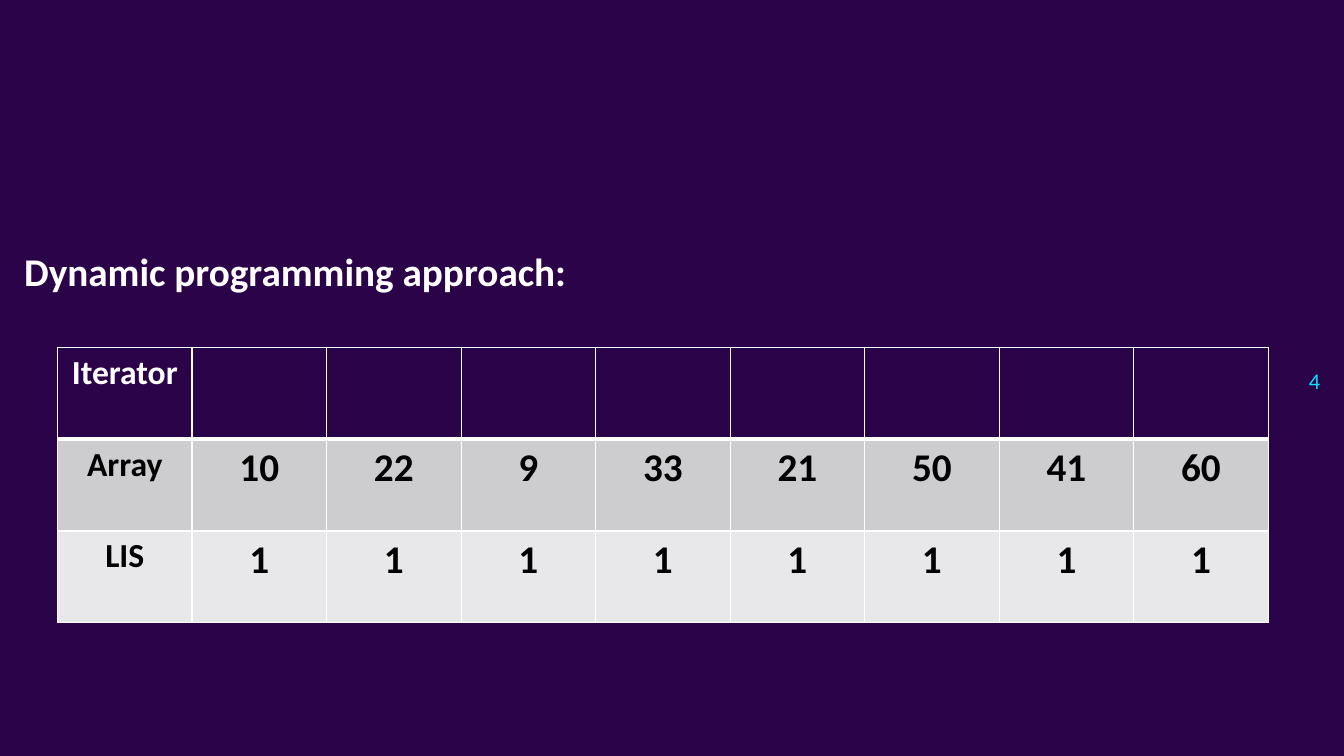
"""Build the slide with the dynamic programming table."""
from lxml import etree
from pptx import Presentation, util as u
from pptx.dml.color import RGBColor
from pptx.enum import text
from pptx.oxml.ns import qn

DARK, WHITE, BLACK, CYAN = "2B0348", "FFFFFF", "000000", "0BE1FF"
TITLE = "Dynamic programming approach:"
PAGE = "4"
ROWS = [
    ("Iterator", [""] * 8, DARK, WHITE),
    ("Array", [10, 22, 9, 33, 21, 50, 41, 60], "CDCCCF", BLACK),
    ("LIS", [1] * 8, "E8E7E9", BLACK),
]
LEFT, TOP, WIDE, HIGH = 1.45, 8.76, 3.39, 2.31


def paint(part, color):
    part.solid()
    part.fore_color.rgb = RGBColor.from_string(color)


def write(frame, words, size, color, align, bold=True):
    frame.text = str(words)
    para = frame.paragraphs[0]
    para.alignment = align
    for run in para.runs:
        run.font.name = "Calibri"
        run.font.size = u.Pt(size)
        run.font.bold = bold
        paint(run.font.fill, color)
    return para


def label(slide, place, *style):
    frame = slide.shapes.add_textbox(*map(u.Cm, place)).text_frame
    frame.word_wrap = True
    return frame, write(frame, *style)


def border(cell, side, width):
    line = etree.SubElement(cell._tc.get_or_add_tcPr(), qn("a:ln" + side), w=str(u.Pt(width)))
    fill = etree.SubElement(line, qn("a:solidFill"))
    etree.SubElement(fill, qn("a:srgbClr"), val=WHITE)


def grid(slide):
    count = len(ROWS[0][1]) + 1
    size = LEFT, TOP, WIDE * count, HIGH * len(ROWS)
    table = slide.shapes.add_table(len(ROWS), count, *map(u.Cm, size)).table
    for col in table.columns:
        col.width = u.Cm(WIDE)
    for r, (name, values, back, ink) in enumerate(ROWS):
        table.rows[r].height = u.Cm(HIGH)
        for c, value in enumerate([name, *values]):
            cell = table.cell(r, c)
            write(cell.text_frame, value, 28 if c else 24, ink, text.PP_ALIGN.CENTER)
            for side in "LRTB":
                border(cell, side, 3 if (r, side) in [(0, "B"), (1, "T")] else 1)
            paint(cell.fill, back)


def main():
    deck = Presentation()
    deck.slide_width, deck.slide_height = u.Cm(33.87), u.Cm(19.05)
    slide = deck.slides.add_slide(deck.slide_layouts[6])
    paint(slide.background.fill, DARK)
    _, para = label(slide, (0.36, 5.51, 32.11, 11.61), TITLE, 28, WHITE, text.PP_ALIGN.LEFT)
    para.line_spacing = 1.5
    frame, _ = label(slide, (32, 8.79, 1.52, 1.6), PAGE, 16, CYAN, text.PP_ALIGN.RIGHT, False)
    frame.vertical_anchor = text.MSO_ANCHOR.MIDDLE
    grid(slide)
    deck.save("out.pptx")


if __name__ == "__main__":
    main()
